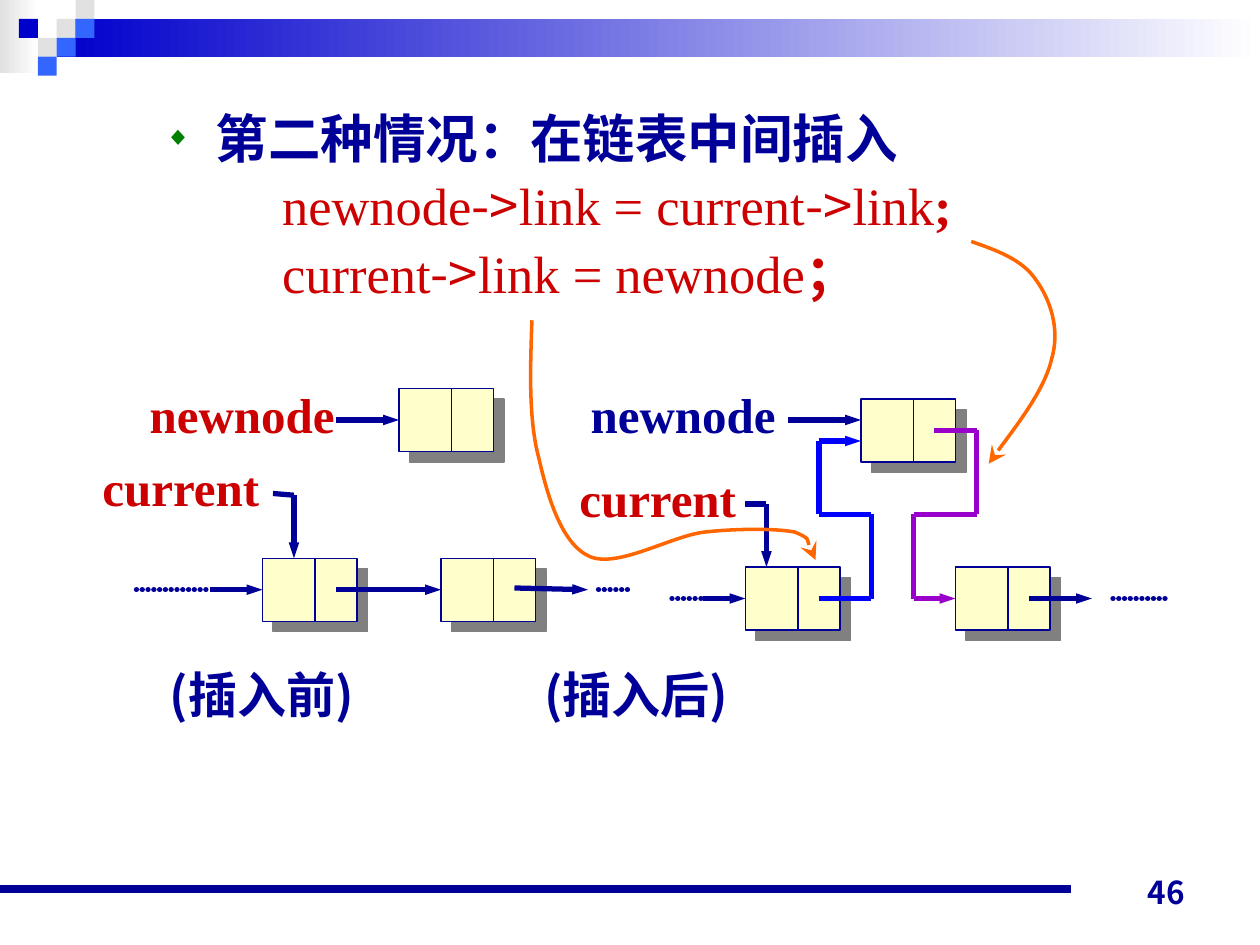
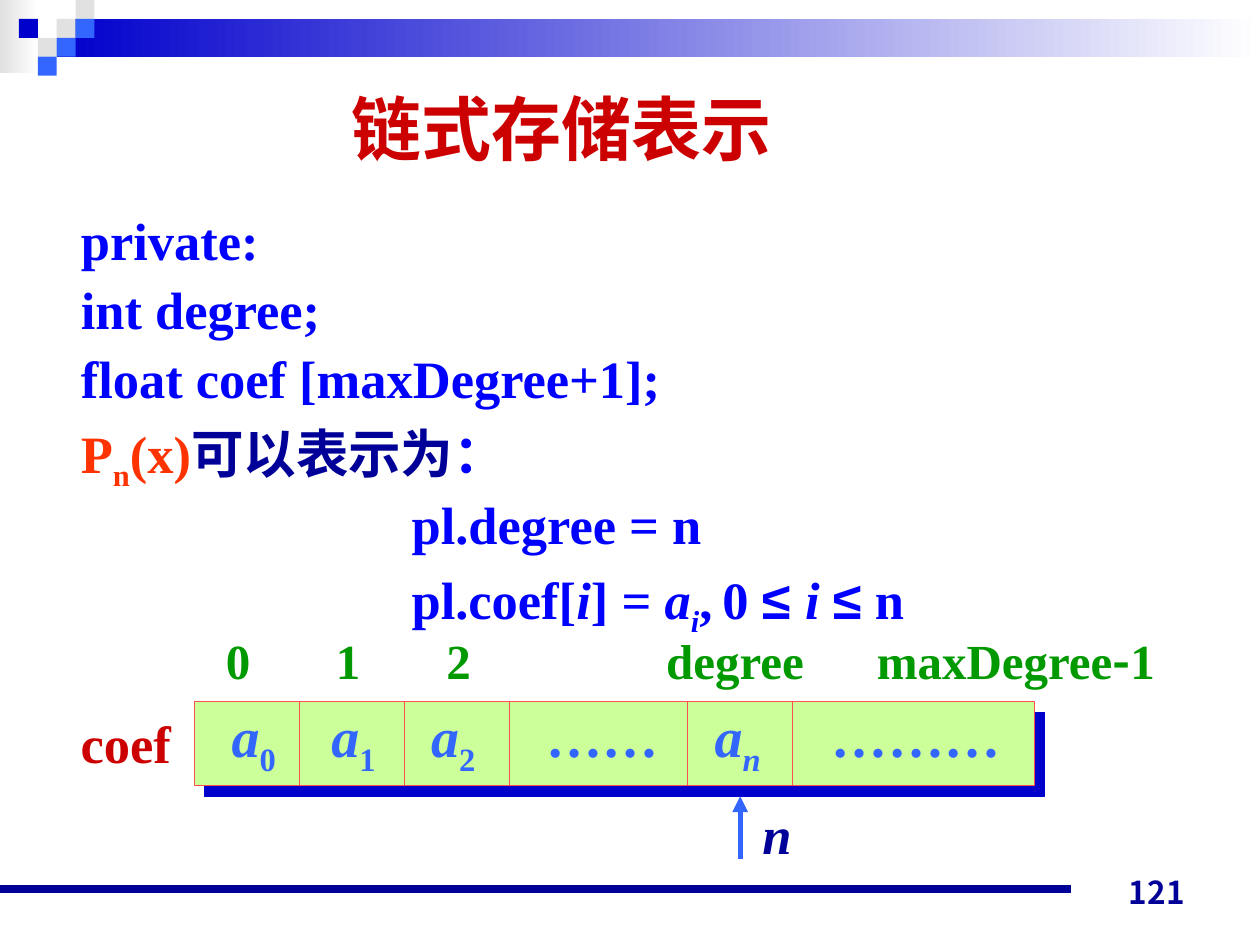
from lxml import etree
from pptx import Presentation
from pptx.dml.color import RGBColor
from pptx.enum.shapes import MSO_CONNECTOR, MSO_SHAPE
from pptx.enum.text import MSO_ANCHOR, MSO_AUTO_SIZE, PP_ALIGN
from pptx.oxml.ns import qn
from pptx.util import Pt

NAVY = RGBColor(0x00, 0x00, 0x99)
BLUE = RGBColor(0x00, 0x00, 0xFF)
DEEP_BLUE = RGBColor(0x00, 0x00, 0xCC)
SKY = RGBColor(0x33, 0x66, 0xFF)
RED = RGBColor(0xCC, 0x00, 0x00)
CORAL = RGBColor(0xFF, 0x50, 0x50)
VERMILION = RGBColor(0xFF, 0x33, 0x00)
ORANGE = RGBColor(0xFF, 0x66, 0x00)
PURPLE = RGBColor(0x99, 0x00, 0xCC)
GREEN = RGBColor(0x00, 0x99, 0x00)
BULLET_GREEN = RGBColor(0x00, 0x80, 0x00)
CREAM = RGBColor(0xFF, 0xFF, 0xCC)
LIME = RGBColor(0xCC, 0xFF, 0x99)
GREY = RGBColor(0x80, 0x80, 0x80)
PALE = RGBColor(0xE1, 0xE1, 0xE1)
WHITE = RGBColor(0xFF, 0xFF, 0xFF)

TIMES, ARIAL = "Times New Roman", "Arial"
CJK, CJK_NUMBER = "Noto Sans CJK SC", "Noto Sans CJK JP"

# ---- Shared frame: corner squares as (column, row, colour)
SQUARE = 10.8
CORNER_SQUARES = [(3, 1, PALE), (4, 0, PALE), (4, 1, SKY), (2, 2, PALE),
                  (1, 1, DEEP_BLUE), (3, 2, SKY), (2, 3, SKY)]

# ---- Slide 1: inserting in the middle of a linked list
PLAIN, ARROW_SIGN = {"bold": False}, ("->", {"bold": False, "font": CJK})
INSERT_HEADING = ["第二种情况：在链表中间插入"]
INSERT_CODE = [
    [("newnode", PLAIN), ARROW_SIGN, ("link = current", PLAIN), ARROW_SIGN,
     ("link", PLAIN), ";"],
    [("current", PLAIN), ARROW_SIGN, ("link = newnode", PLAIN), "；"],
]
CAPTIONS = [("(插入前)", 90), ("(插入后)", 304)]
POINTER_NAMES = [("newnode", 78.5, 216, RED), ("current", 51.5, 258, RED),
                 ("newnode", 330.5, 216, NAVY), ("current", 324, 264, RED)]
NODE_W, NODE_H, NODE_SPLIT = 54, 36, 30
NODES = [(228, 222), (150, 319), (252, 319), (492, 228), (426, 324), (546, 324)]
POINTERS = [
    (NAVY, [(192, 240), (228, 240)]),
    (NAVY, [(156, 282), (168, 283), (168, 319)]),
    (NAVY, [(120, 337), (150, 337)]),
    (NAVY, [(192, 337), (252, 337)]),
    (NAVY, [(294, 336), (336, 337)]),
    (NAVY, [(450, 240), (492, 240)]),
    (NAVY, [(426, 288), (438, 288), (438, 324)]),
    (NAVY, [(402, 342), (426, 342)]),
    (BLUE, [(468, 342), (498, 342), (498, 294), (468, 294), (468, 252), (492, 252)]),
    (PURPLE, [(534, 246), (558, 246), (558, 294), (522, 294), (522, 342), (546, 342)]),
    (NAVY, [(588, 342), (624, 342)]),
]
LIST_GAPS = [(78, 120, 337), (342, 360, 337), (384, 402, 342), (636, 666, 342)]
# Start point, then three Bezier points for each stretch
CODE_CURVES = [
    [(555, 137.5), (569, 143), (584, 148), (592, 160), (600, 171), (605.5, 188),
     (601, 205), (597, 223), (572, 255), (565, 265)],
    [(304, 183), (303, 211), (302.5, 240), (308, 262), (313, 284), (321, 311),
     (337, 318), (353, 325), (384, 306), (403, 304), (422.5, 301.5), (443, 301.5),
     (453.5, 304.5), (464.5, 307.5), (464.5, 317.5), (466.5, 320)],
]

# ---- Slide 2: storage of a polynomial
ITALIC, SUB = {"italic": True}, {"sub": True}
ITALIC_SUB, SIGN = {"italic": True, "sub": True}, {"font": ARIAL}
STORAGE_TITLE = "链式存储表示"
DECLARATIONS = [
    ["private:"],
    ["int degree;"],
    ["float coef [maxDegree+1];"],
    [("P", {"color": VERMILION}), ("n", {"color": VERMILION, "sub": True}),
     ("(x)", {"color": VERMILION}), ("可以表示为", {"color": NAVY}), "："],
]
ASSIGNMENTS = [
    ["pl.degree = n"],
    ["pl.coef[", ("i", ITALIC), "] = ", ("a", ITALIC), ("i", ITALIC_SUB), ",",
     (" ", {"size": 22.5}), "0 ", ("≤ ", SIGN), ("i ", ITALIC), ("≤", SIGN), " n"],
]
# Labels of the array as (centre, runs)
INDEXES = [(136, ["0"]), (199, ["1"]), (262, ["2"]), (420, ["degree"]),
           (580.5, ["maxDegree", ("-", {"font": CJK}), "1"])]
COEFFICIENTS = [(145, [("a", ITALIC), ("0", SUB)]), (202, [("a", ITALIC), ("1", SUB)]),
                (259, [("a", ITALIC), ("2", SUB)]), (344.5, ["……"]),
                (421.5, [("a", ITALIC), ("n", ITALIC_SUB)]), (523.5, ["………"])]
LABEL_W = 180
ARRAY_LEFT, ARRAY_TOP, ARRAY_H = 111, 401, 48
CELL_WIDTHS = [60, 60, 60, 102, 60, 138]


def add_xml(parent, tag, **attributes):
    return etree.SubElement(parent, qn(tag), {k: str(v) for k, v in attributes.items()})


def add_text(paragraph, runs, size=28, color=NAVY, bold=True, italic=False, sub=False,
             font=TIMES, align=PP_ALIGN.LEFT, line=None, before=0, margin=0,
             hanging=0, bullet=None):
    """Fill a paragraph; a run is a string or (string, differing format)."""
    paragraph.alignment = align
    paragraph.space_before = Pt(before)
    if line:
        paragraph.line_spacing = line
    properties = paragraph._p.get_or_add_pPr()
    properties.set("marL", str(Pt(margin)))
    properties.set("indent", str(-Pt(hanging)))
    if bullet:
        add_xml(add_xml(properties, "a:buClr"), "a:srgbClr", val=BULLET_GREEN)
        add_xml(properties, "a:buSzPct", val=50000)
        add_xml(properties, "a:buChar", char=bullet)
    else:
        add_xml(properties, "a:buNone")
    base = dict(size=size, color=color, bold=bold, italic=italic, sub=sub, font=font)
    for item in runs:
        words, changes = (item, {}) if isinstance(item, str) else item
        style = {**base, **changes}
        run = paragraph.add_run()
        run.text = words
        run.font.size = Pt(style["size"])
        run.font.bold, run.font.italic = style["bold"], style["italic"]
        run.font.color.rgb = style["color"]
        run.font.name = style["font"]
        run_properties = run._r.get_or_add_rPr()
        add_xml(run_properties, "a:ea", typeface=CJK)
        if style["sub"]:
            run_properties.set("baseline", "-25000")


def add_label(slide, runs, left, top, width, height=41, anchor=MSO_ANCHOR.TOP, **text_format):
    frame = slide.shapes.add_textbox(Pt(left), Pt(top), Pt(width), Pt(height)).text_frame
    frame.word_wrap = True
    frame.vertical_anchor = anchor
    add_text(frame.paragraphs[0], runs, **text_format)


def place(placeholder, left, top, width, height):
    placeholder.left, placeholder.top = Pt(left), Pt(top)
    placeholder.width, placeholder.height = Pt(width), Pt(height)
    placeholder.text_frame.auto_size = MSO_AUTO_SIZE.NONE
    return placeholder.text_frame


def add_box(slide, left, top, width, height, fill, border=None, shadow=None, fade=False):
    box = slide.shapes.add_shape(MSO_SHAPE.RECTANGLE, Pt(left), Pt(top), Pt(width), Pt(height))
    box.shadow.inherit = False
    if fade:
        box.fill.gradient()
        box.fill.gradient_angle = 0
        for stop, color in zip(box.fill.gradient_stops, (fill, WHITE)):
            stop.color.rgb = color
    else:
        box.fill.solid()
        box.fill.fore_color.rgb = fill
    if border:
        box.line.color.rgb = border
        box.line.width = Pt(0.75)
    else:
        box.line.fill.background()
    if shadow:
        effects = box._element.spPr.find(qn("a:effectLst"))
        cast = add_xml(effects, "a:outerShdw", blurRad=0, dist=Pt(8.5), dir=2700000,
                       algn="ctr", rotWithShape=0)
        add_xml(cast, "a:srgbClr", val=shadow)
    return box


def add_line(slide, start, end, color, width=3, head=None, dotted=False):
    """Draw a straight line; head is the width of its arrowhead."""
    line = slide.shapes.add_connector(MSO_CONNECTOR.STRAIGHT,
                                      *(Pt(value) for value in (*start, *end)))
    line.line.color.rgb = color
    line.line.width = Pt(width)
    stroke = line.line._get_or_add_ln()
    if dotted:
        stroke.set("cap", "rnd")
        add_xml(add_xml(stroke, "a:custDash"), "a:ds", d=100000, sp=10000)
    if head:
        add_xml(stroke, "a:tailEnd", type="triangle", w=head, len="med")
    add_xml(line._element.spPr, "a:effectLst")
    return line


def add_curve(slide, points):
    builder = slide.shapes.build_freeform(*points[0], scale=Pt(1))
    builder.add_line_segments(points[1:], close=False)
    curve = builder.convert_to_shape()
    curve.shadow.inherit = False
    curve.fill.background()
    curve.line.color.rgb = ORANGE
    curve.line.width = Pt(2)
    add_xml(curve.line._get_or_add_ln(), "a:tailEnd", type="stealth", w="lg", len="lg")
    # Turn every three straight steps into one Bezier stretch
    outline = next(curve._element.iter(qn("a:path")))
    steps = outline.findall(qn("a:lnTo"))
    for first in range(0, len(steps), 3):
        bezier = add_xml(outline, "a:cubicBezTo")
        for step in steps[first:first + 3]:
            bezier.append(step[0])
            outline.remove(step)


def add_framed_slide(deck, number):
    slide = deck.slides.add_slide(deck.slide_layouts[1])
    add_box(slide, 0, 0, 22, 42, PALE, fade=True)
    add_box(slide, 3 * SQUARE, SQUARE, 720 - 3 * SQUARE, 2 * SQUARE, DEEP_BLUE, fade=True)
    for column, row, color in CORNER_SQUARES:
        add_box(slide, column * SQUARE, row * SQUARE, SQUARE, SQUARE, color)
    add_line(slide, (0, 508), (612, 508), NAVY, width=4.5)
    add_label(slide, [number], 516, 488, 168, 36, anchor=MSO_ANCHOR.BOTTOM,
              size=18, font=CJK_NUMBER, align=PP_ALIGN.RIGHT)
    return slide


def build_insertion(deck):
    slide = add_framed_slide(deck, "46")
    title = slide.shapes.title._element
    title.getparent().remove(title)
    body = place(slide.placeholders[1], 51, 54.5, 669, 426)
    add_text(body.paragraphs[0], INSERT_HEADING, size=30, line=Pt(38.5),
             margin=65, hanging=29, bullet="◆")
    for code in INSERT_CODE:
        add_text(body.add_paragraph(), code, size=30, color=RED, line=Pt(38.5), margin=103)
    for caption, left in CAPTIONS:
        add_label(slide, [caption], left, 376, 150, font=CJK)

    # List nodes, then the pointers that join them
    left_middles = {}
    for x, y in NODES:
        left_middles[x, y + NODE_H / 2] = add_box(slide, x, y, NODE_W, NODE_H, CREAM, NAVY, GREY)
        add_line(slide, (x + NODE_SPLIT, y), (x + NODE_SPLIT, y + NODE_H), NAVY, 0.75)
    for color, corners in POINTERS:
        for start, end in zip(corners, corners[1:]):
            last = end == corners[-1]
            pointer = add_line(slide, start, end, color, head="sm" if last else None)
            if last and end in left_middles:
                pointer.end_connect(left_middles[end], 1)
    for left, right, y in LIST_GAPS:
        add_line(slide, (left, y), (right, y), NAVY, dotted=True)
    for name, x, y, color in POINTER_NAMES:
        add_label(slide, [name], x, y, 130, color=color)
    for points in CODE_CURVES:
        add_curve(slide, points)


def build_storage(deck):
    slide = add_framed_slide(deck, "121")
    title = place(slide.shapes.title, 87, 46, 468, 54)
    title.vertical_anchor = MSO_ANCHOR.MIDDLE
    add_text(title.paragraphs[0], [STORAGE_TITLE], size=40, color=RED, font=ARIAL,
             align=PP_ALIGN.CENTER)
    body = place(slide.placeholders[1], 39, 120, 612, 282)
    add_text(body.paragraphs[0], DECLARATIONS[0], size=30, color=BLUE, line=Pt(31))
    for margin, lines in [(0, DECLARATIONS[1:]), (189, ASSIGNMENTS)]:
        for runs in lines:
            add_text(body.add_paragraph(), runs, size=30, color=BLUE, line=0.85,
                     before=9, margin=margin)

    # Coefficient array with its cells, indexes and marker
    add_box(slide, ARRAY_LEFT, ARRAY_TOP, sum(CELL_WIDTHS), ARRAY_H, LIME, CORAL, DEEP_BLUE)
    edge = ARRAY_LEFT
    for width in CELL_WIDTHS[:-1]:
        edge += width
        add_line(slide, (edge, ARRAY_TOP), (edge, ARRAY_TOP + ARRAY_H), CORAL, 0.75)
    for labels, top, size, color in [(COEFFICIENTS, 397.5, 32, SKY),
                                     (INDEXES, 356.5, 28, GREEN)]:
        for centre, runs in labels:
            add_label(slide, runs, centre - LABEL_W / 2, top, LABEL_W, size=size,
                      color=color, align=PP_ALIGN.CENTER)
    add_label(slide, ["coef"], 39, 403, 72, size=30, color=RED)
    add_line(slide, (423, 491), (423, 455), SKY, head="med")
    add_label(slide, ["n"], 428.5, 455, 32, size=30, italic=True)


def main():
    deck = Presentation()
    deck.slide_width, deck.slide_height = Pt(720), Pt(540)
    build_insertion(deck)
    build_storage(deck)
    deck.save("out.pptx")


if __name__ == "__main__":
    main()
